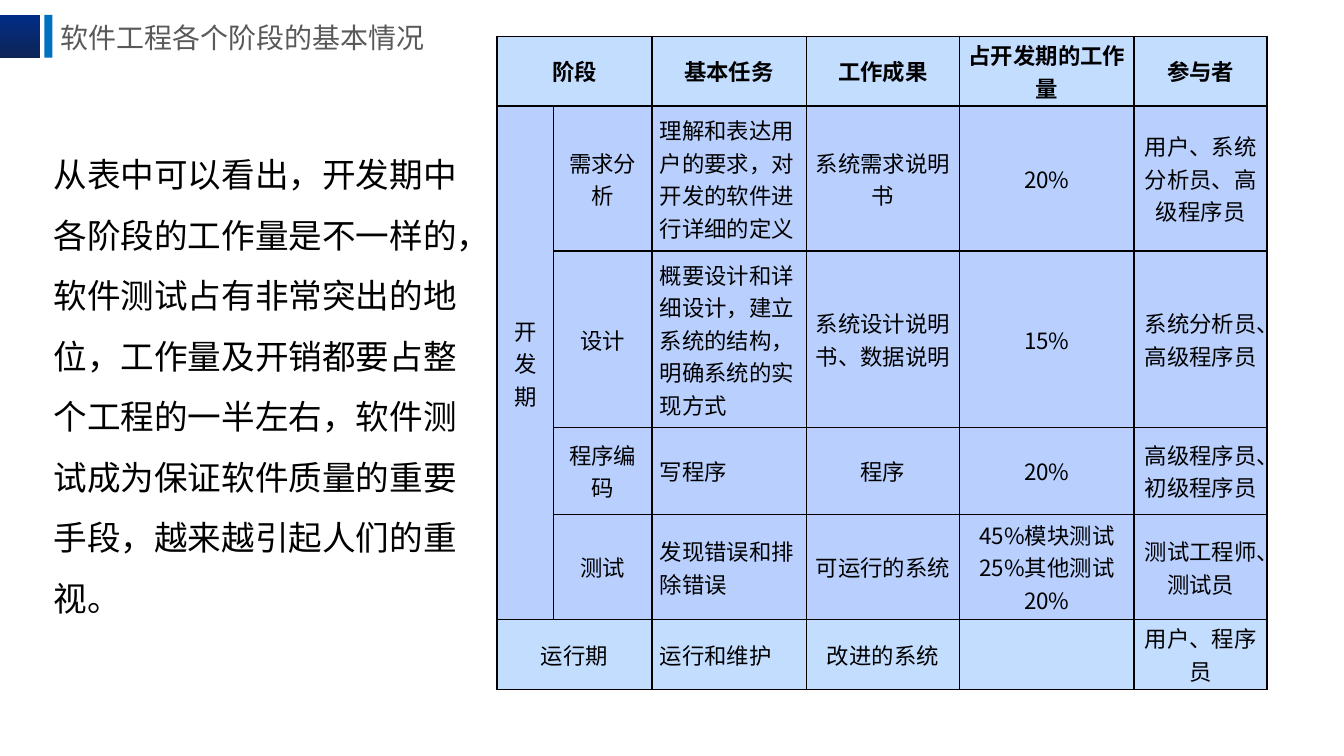
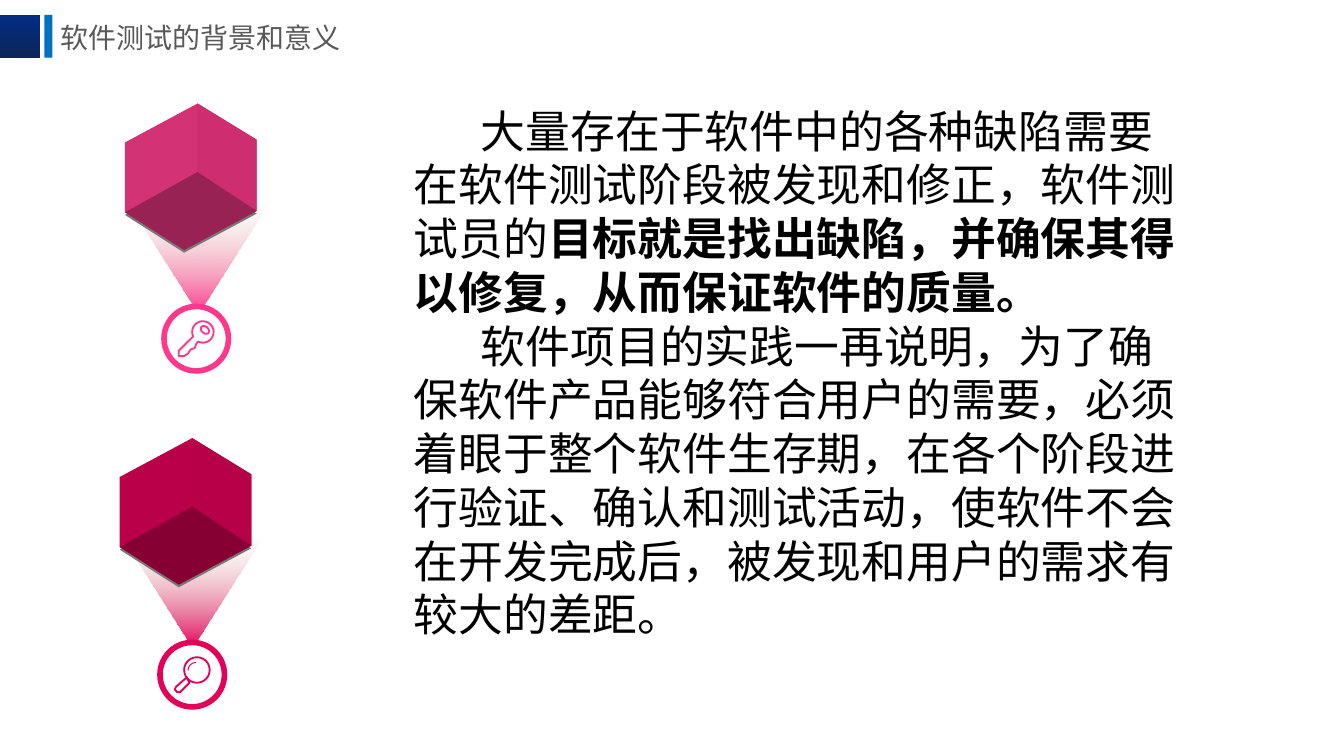
from dataclasses import dataclass
from math import cos, radians, sin

from lxml import etree
from pptx import Presentation
from pptx.dml.color import RGBColor
from pptx.enum.shapes import MSO_SHAPE
from pptx.enum.text import MSO_ANCHOR, PP_ALIGN
from pptx.oxml.ns import qn
from pptx.util import Inches, Pt

RECT, OVAL, TRIANGLE = MSO_SHAPE.RECTANGLE, MSO_SHAPE.OVAL, MSO_SHAPE.ISOSCELES_TRIANGLE
LEFT, CENTER = PP_ALIGN.LEFT, PP_ALIGN.CENTER
MIDDLE, TOP = MSO_ANCHOR.MIDDLE, MSO_ANCHOR.TOP

CJK, LATIN = "Noto Sans CJK SC", "Calibri"
COLORS = {
    "black": "000000", "white": "FFFFFF", "title": "595959",
    "navy": "012D86", "navy_dark": "0E2557", "blue": "0070C0",
    "head": "C3DDFF", "body": "B9D0FF", "beam": "DDD9C3", "shade": "777777",
    "pink": "FF388C", "pink_left": "D33274", "pink_right": "CE2E70", "pink_base": "992254",
    "red": "E40059", "red_left": "BB004A", "red_right": "B60047", "red_base": "870034",
}
Point = tuple[float, float]


@dataclass(frozen=True)
class Emblem:
    color: str
    cube: Point
    ring: Point


EMBLEMS = [
    Emblem("pink", (0.93, 0.77), (1.22, 2.28)),
    Emblem("red", (0.89, 3.26), (1.19, 4.78)),
]

TITLES = [("软件工程各个阶段的基本情况", 3.01), ("软件测试的背景和意义", 2.45)]
SUMMARY = ("从表中可以看出，开发期中各阶段的工作量是不一样的，软件测试占有非常突出的地位，"
           "工作量及开销都要占整个工程的一半左右，软件测试成为保证软件质量的重要手段，"
           "越来越引起人们的重视。")
BACKGROUND = [
    [("大量存在于软件中的各种缺陷需要在软件测试阶段被发现和修正，软件测试员的", False),
     ("目标就是找出缺陷，并确保其得以修复，从而保证软件的质量。", True)],
    [("软件项目的实践一再说明，为了确保软件产品能够符合用户的需要，必须着眼于整个软件生存期，"
      "在各个阶段进行验证、确认和测试活动，使软件不会在开发完成后，"
      "被发现和用户的需求有较大的差距。", False)],
]
COL_WIDTHS = [0.42, 0.73, 1.15, 1.14, 1.3, 0.99]
ROW_HEIGHTS = [0.52, 1.08, 1.31, 0.65, 0.78, 0.52]
STAGES = [
    ["阶段", "", "基本任务", "工作成果", "占开发期的工作量", "参与者"],
    ["开发期", "需求分析", "理解和表达用户的要求，对开发的软件进行详细的定义",
     "系统需求说明书", "20%", "用户、系统分析员、高级程序员"],
    ["", "设计", "概要设计和详细设计，建立系统的结构，明确系统的实现方式",
     "系统设计说明书、数据说明", "15%", "系统分析员、高级程序员"],
    ["", "程序编码", "写程序", "程序", "20%", "高级程序员、初级程序员"],
    ["", "测试", "发现错误和排除错误", "可运行的系统",
     "45%模块测试25%其他测试20%", "测试工程师、测试员"],
    ["运行期", "", "运行和维护", "改进的系统", "", "用户、程序员"],
]
MERGES = [((0, 0), (0, 1)), ((1, 0), (4, 0)), ((5, 0), (5, 1))]


def rgb(name: str) -> RGBColor:
    return RGBColor.from_string(COLORS[name])


# Text
def write(tf, paragraphs, *, size: float, font: str = CJK, color: str = "black",
          align=LEFT, spacing: float | None = None, indent: float = 0) -> None:
    """Fill a text frame with paragraphs, each a list of (text, bold) runs."""
    tf.word_wrap = True
    for i, runs in enumerate(paragraphs):
        p = tf.paragraphs[0] if i == 0 else tf.add_paragraph()
        p.alignment = align
        if spacing:
            p.line_spacing = spacing
        if indent:
            p._p.get_or_add_pPr().set("indent", str(Inches(indent)))
        for text, bold in runs:
            r = p.add_run()
            r.text = text
            r.font.size, r.font.name, r.font.bold = Pt(size), font, bold
            r.font.color.rgb = rgb(color)
            etree.SubElement(r._r.get_or_add_rPr(), qn("a:ea"), typeface=font)


def add_text(s, x: float, y: float, w: float, h: float, paragraphs, *,
             anchor=TOP, **style) -> None:
    tf = s.shapes.add_textbox(Inches(x), Inches(y), Inches(w), Inches(h)).text_frame
    tf.vertical_anchor = anchor
    write(tf, paragraphs, **style)


# Shapes
def paint(sp, fill: str | None, line: str | None, width: float) -> None:
    sp.shadow.inherit = False
    if fill:
        sp.fill.solid()
        sp.fill.fore_color.rgb = rgb(fill)
    else:
        sp.fill.background()
    if line:
        sp.line.color.rgb = rgb(line)
        sp.line.width = Pt(width)
    else:
        sp.line.fill.background()


def add_shape(s, kind, x: float, y: float, w: float, h: float, *,
              fill: str | None = None, line: str | None = None, width: float = 1):
    sp = s.shapes.add_shape(kind, Inches(x), Inches(y), Inches(w), Inches(h))
    paint(sp, fill, line, width)
    return sp


def add_outline(s, points: list[Point], *, fill: str | None = None,
                line: str | None = None, width: float = 1, close: bool = True) -> None:
    start, *rest = [(Inches(x), Inches(y)) for x, y in points]
    builder = s.shapes.build_freeform(*start)
    builder.add_line_segments(rest, close=close)
    paint(builder.convert_to_shape(), fill, line, width)


def set_gradient(sp, first: str, last: str) -> None:
    sp.fill.gradient()
    sp.fill.gradient_angle = 270
    for stop, name in zip(sp.fill.gradient_stops, (first, last)):
        stop.color.rgb = rgb(name)


def arc(cx: float, cy: float, radius: float, start: int, end: int) -> list[Point]:
    steps = 24
    angles = [radians(start + (end - start) * i / steps) for i in range(steps + 1)]
    return [(cx + radius * cos(a), cy + radius * sin(a)) for a in angles]


def shift(points: list[Point], origin: Point) -> list[Point]:
    return [(origin[0] + x, origin[1] + y) for x, y in points]


# Title band
def new_slide(prs, title: str, width: float):
    s = prs.slides.add_slide(prs.slide_layouts[6])
    set_gradient(add_shape(s, RECT, 0, 0.11, 0.3, 0.32), "navy", "navy_dark")
    add_shape(s, RECT, 0.33, 0.11, 0.06, 0.32, fill="blue")
    add_text(s, 0.35, 0.05, width, 0.46, [[(title, False)]],
             size=15, color="title", anchor=MIDDLE)
    return s


# Stage table
def add_borders(cell) -> None:
    tc_pr = cell._tc.get_or_add_tcPr()
    for side in ("lnL", "lnR", "lnT", "lnB"):
        ln = etree.SubElement(tc_pr, qn(f"a:{side}"), w=str(Pt(1)))
        fill = etree.SubElement(ln, qn("a:solidFill"))
        etree.SubElement(fill, qn("a:srgbClr"), val=COLORS["black"])


def add_stage_table(s) -> None:
    table = s.shapes.add_table(len(STAGES), len(COL_WIDTHS), Inches(3.7), Inches(0.27),
                               Inches(sum(COL_WIDTHS)), Inches(sum(ROW_HEIGHTS))).table
    for column, width in zip(table.columns, COL_WIDTHS):
        column.width = Inches(width)
    for row, height in zip(table.rows, ROW_HEIGHTS):
        row.height = Inches(height)
    for i, texts in enumerate(STAGES):
        for j, text in enumerate(texts):
            cell = table.cell(i, j)
            add_borders(cell)
            cell.fill.solid()
            cell.fill.fore_color.rgb = rgb("head" if i in (0, len(STAGES) - 1) else "body")
            cell.margin_left = cell.margin_right = Inches(0.06)
            cell.margin_top = cell.margin_bottom = 0
            cell.vertical_anchor = MIDDLE
            if text:
                write(cell.text_frame, [[(text, i == 0)]], size=12,
                      align=LEFT if i and j == 2 else CENTER)
    for first, last in MERGES:
        table.cell(*first).merge(table.cell(*last))


# Cubes with light beams and icons
def add_emblem(s, emblem: Emblem) -> None:
    x, y = emblem.cube
    beam = add_shape(s, TRIANGLE, x + 0.01, y + 0.72, 1.07, 0.84)
    beam._element.spPr.get_or_add_xfrm().set("flipV", "1")
    set_gradient(beam, emblem.color, "beam")
    last_color = beam._element.spPr.findall(".//" + qn("a:srgbClr"))[-1]
    etree.SubElement(last_color, qn("a:alpha"), val="0")

    top, centre = (0.54, 0), (0.54, 0.51)
    left, left_low = (0, 0.29), (0, 0.81)
    right, right_low = (0.98, 0.27), (0.98, 0.8)
    bottom = (0.44, 1.09)
    base = [left_low, centre, right_low, bottom]
    add_outline(s, shift(base, (x, y + 0.02)), fill="shade")
    # The left face runs under the others so that no seam shows
    faces = {"left": [top, left, left_low, bottom, right_low, right],
             "right": [top, right, right_low, centre],
             "base": base}
    for face, points in faces.items():
        add_outline(s, shift(points, emblem.cube), fill=f"{emblem.color}_{face}")
    add_shape(s, OVAL, *emblem.ring, 0.48, 0.48, fill="white", line=emblem.color, width=3)


def add_key(s, ring: Point, color: str) -> None:
    blade = [(0.11, 0.33), (0.11, 0.37), (0.15, 0.37), (0.18, 0.35), (0.2, 0.32),
             (0.23, 0.31), (0.24, 0.28)]
    head = arc(0.29, 0.19, 0.08, 117, -205)
    add_outline(s, shift(blade + head, ring), line=color)
    hole = add_shape(s, OVAL, ring[0] + 0.27, ring[1] + 0.15, 0.07, 0.05, line=color)
    hole.rotation = 40


def add_magnifier(s, ring: Point, color: str) -> None:
    x, y = ring
    handle = [(0.2, 0.26), (0.12, 0.33), (0.11, 0.35), (0.13, 0.37), (0.15, 0.37),
              (0.22, 0.3)]
    add_outline(s, shift(handle, ring), line=color)
    add_shape(s, OVAL, x + 0.18, y + 0.11, 0.19, 0.19, line=color)
    add_outline(s, arc(x + 0.27, y + 0.21, 0.06, 180, 270), line=color, width=0.5,
                close=False)


def main() -> None:
    prs = Presentation()
    prs.slide_width = Inches(10)
    prs.slide_height = prs.slide_width * 9 // 16

    s = new_slide(prs, *TITLES[0])
    add_stage_table(s)
    add_text(s, 0.3, 0.95, 3.24, 3.73, [[(SUMMARY, False)]],
             size=18, font=LATIN, spacing=1.5)

    s = new_slide(prs, *TITLES[1])
    for emblem, add_icon in zip(EMBLEMS, (add_key, add_magnifier)):
        add_emblem(s, emblem)
        add_icon(s, emblem.ring, emblem.color)
    add_text(s, 2.98, 0.72, 5.95, 4.54, BACKGROUND, size=24, font=LATIN, indent=0.5)

    prs.save("out.pptx")


if __name__ == "__main__":
    main()
